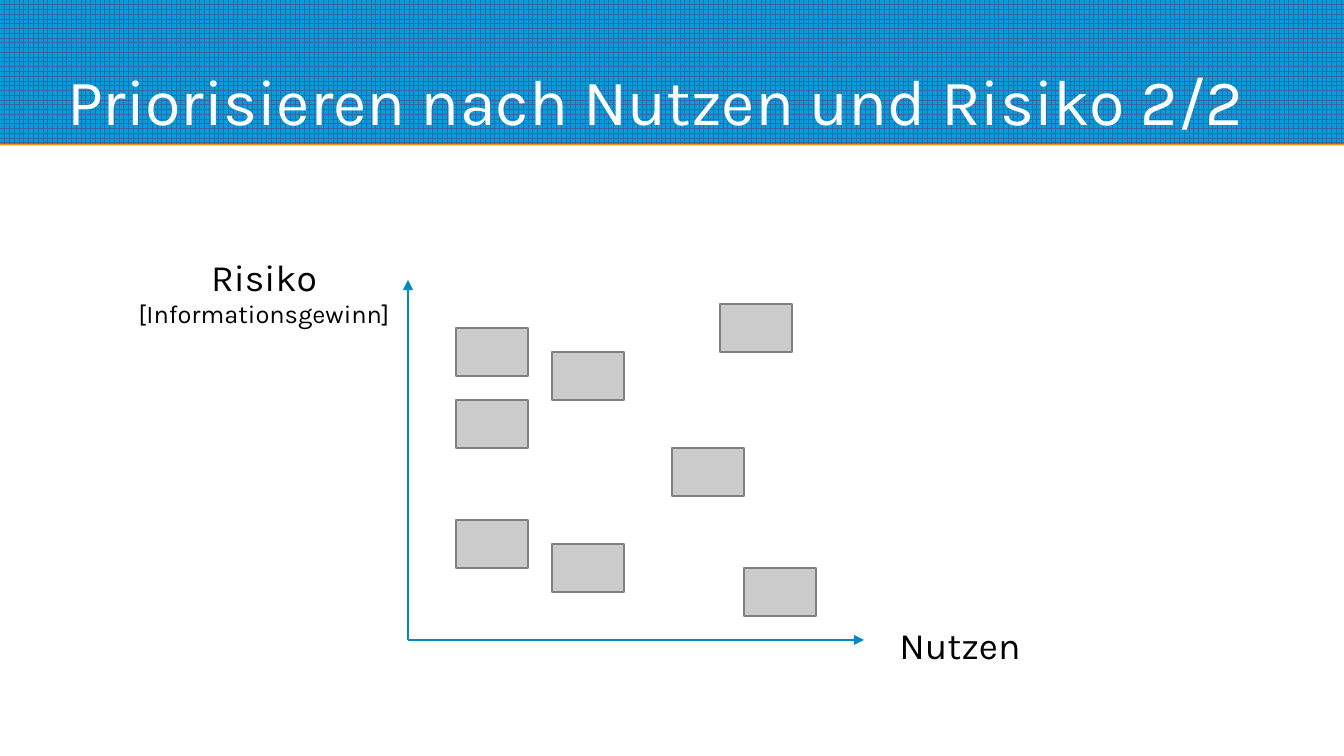
from lxml.etree import SubElement
from pptx import Presentation
from pptx.dml.color import RGBColor
from pptx.enum.dml import MSO_PATTERN
from pptx.enum.shapes import MSO_CONNECTOR as LINE, MSO_SHAPE as SHAPE
from pptx.enum.text import MSO_ANCHOR as ANCHOR, MSO_AUTO_SIZE as FIT, PP_ALIGN as ALIGN
from pptx.oxml import parse_xml
from pptx.oxml.ns import nsdecls, qn
from pptx.util import Pt

SCALE = 7495  # EMU per px, 122 px to the inch
WIDE, HIGH = 1344, 756
UNIT = 24  # grid step of the chart
# Column and row of each item, in grid steps from the top of the risk axis
ITEMS = [(2, 2), (14, 12), (6, 3), (2, 5), (6, 11), (11, 7), (2, 10), (13, 1)]


def px(*nums):
    return [n * SCALE for n in nums]


def hue(code):
    return RGBColor.from_string(code)


def write(shape, parts, color="000000", align=ALIGN.CENTER,
          anchor=ANCHOR.MIDDLE, inset=5):
    """Fill one paragraph with (text, size) parts, one on each line."""
    frame = shape.text_frame
    frame.word_wrap = True
    frame.auto_size = FIT.NONE
    frame.vertical_anchor = anchor
    frame.margin_left = frame.margin_right = inset * SCALE
    frame.margin_top = frame.margin_bottom = inset * SCALE
    para = frame.paragraphs[0]
    para.alignment = align
    for i, (text, size) in enumerate(parts):
        if i:
            para.add_line_break()
        run = para.add_run()
        run.text = text
        run.font.name = "Karla"
        run.font.size = Pt(size)
        run.font.color.rgb = hue(color)


def label(slide, box, parts):
    write(slide.shapes.add_textbox(*px(*box)), parts)


def header(slide, box, text):
    left, top, width, height = box
    # Patterned band with a thin orange edge
    band = slide.shapes.add_shape(SHAPE.RECTANGLE, *px(*box))
    band.line.fill.background()
    band.fill.patterned()
    band.fill.pattern = MSO_PATTERN.LARGE_GRID
    band.fill.fore_color.rgb = hue("3465A4")
    band.fill.back_color.rgb = hue("009EDA")
    band._element.spPr.append(parse_xml(
        f'<a:effectLst {nsdecls("a")}>'
        f'<a:outerShdw dist="{Pt(0.9)}" dir="5400000" algn="ctr" rotWithShape="0">'
        '<a:srgbClr val="F49100"/></a:outerShdw></a:effectLst>'))
    slide.shapes._spTree.insert(2, band._element)  # behind the title
    # Title
    title = slide.shapes.title
    title.left, title.top, title.width, title.height = px(
        left + 67, top + 12, width - 134, height - 17)
    write(title, [(text, 38.2)], color="FFFFFF", align=ALIGN.LEFT,
          anchor=ANCHOR.BOTTOM, inset=0)


def axis(slide, start, end):
    line = slide.shapes.add_connector(LINE.STRAIGHT, *px(*start, *end))
    line.line.color.rgb = hue("008AC2")
    line.line.width = Pt(1.42)
    SubElement(line.line._get_or_add_ln(), qn("a:tailEnd"), type="triangle")
    SubElement(line._element.spPr, qn("a:effectLst"))


def item(slide, box):
    rect = slide.shapes.add_shape(SHAPE.RECTANGLE, *px(*box))
    rect.shadow.inherit = False
    rect.fill.solid()
    rect.fill.fore_color.rgb = hue("CCCCCC")
    rect.line.color.rgb = hue("808080")
    rect.line.width = Pt(1.42)


def chart(slide, box):
    left, top, width, height = box
    base = top + height
    # Axis names
    label(slide, (left - 288, top - 36, 288, 95),
          [("Risiko", 22), ("[Informationsgewinn]", 15)])
    label(slide, (left + width - 48, base - 26, 288, 61), [("Nutzen", 22)])
    # Axes
    axis(slide, (left, base), (left, top))
    axis(slide, (left, base), (left + width, base))
    # Items
    for col, row in ITEMS:
        item(slide, (left + col * UNIT, top + row * UNIT, 3 * UNIT, 2 * UNIT))


def main():
    deck = Presentation()
    deck.slide_width, deck.slide_height = px(WIDE, HIGH)
    slide = deck.slides.add_slide(deck.slide_layouts[5])
    header(slide, (0, 0, WIDE, 144), "Priorisieren nach Nutzen und Risiko 2/2")
    chart(slide, (408, 280, 19 * UNIT, 15 * UNIT))
    deck.save("out.pptx")


if __name__ == "__main__":
    main()
